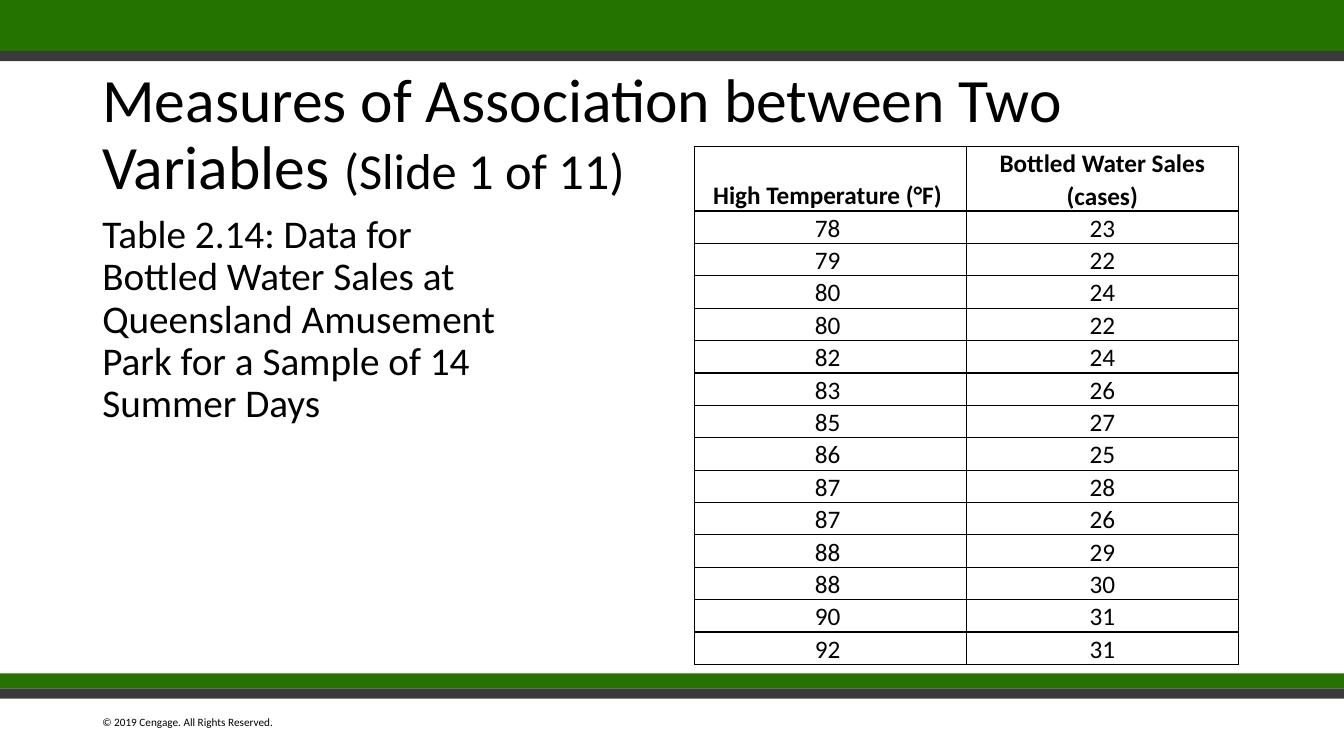
from lxml.etree import SubElement
from pptx import Presentation
from pptx.dml.color import RGBColor
from pptx.enum.shapes import MSO_SHAPE
from pptx.enum.text import MSO_ANCHOR as Anchor, PP_ALIGN as Align
from pptx.oxml.ns import qn
from pptx.util import Pt

FONT = "Calibri"
BLACK, GREEN, GRAY = "000000", "247300", "3B3B3B"
SLIDE_WIDTH, SLIDE_HEIGHT = 960, 540
LEFT_MARGIN = 66

HEADINGS = ("High Temperature (°F)", "Bottled Water Sales (cases)")
SALES_BY_TEMPERATURE = [
    (78, 23), (79, 22), (80, 24), (80, 22), (82, 24), (83, 26), (85, 27),
    (86, 25), (87, 28), (87, 26), (88, 29), (88, 30), (90, 31), (92, 31),
]


def color(hex_string):
    return RGBColor.from_string(hex_string)


def style_paragraph(paragraph, size, line_spacing=1.0, bold=False):
    paragraph.line_spacing = line_spacing
    font = paragraph.font
    font.name, font.size, font.bold = FONT, Pt(size), bold
    font.color.rgb = color(BLACK)


def add_band(slide, top, height, fill):
    band = slide.shapes.add_shape(
        MSO_SHAPE.RECTANGLE, 0, Pt(top), Pt(SLIDE_WIDTH), Pt(height))
    band.shadow.inherit = False
    band.fill.solid()
    band.fill.fore_color.rgb = color(fill)
    band.line.fill.background()


def add_text(slide, text, top, width, height, size, line_spacing=1.0,
             anchor=Anchor.TOP):
    box = slide.shapes.add_textbox(
        Pt(LEFT_MARGIN), Pt(top), Pt(width), Pt(height))
    frame = box.text_frame
    frame.word_wrap = True
    frame.vertical_anchor = anchor
    paragraph = frame.paragraphs[0]
    paragraph.add_run().text = text
    style_paragraph(paragraph, size, line_spacing)
    return paragraph


def add_borders(cell):
    properties = cell._tc.get_or_add_tcPr()
    for side in ("a:lnL", "a:lnR", "a:lnT", "a:lnB"):
        line = SubElement(properties, qn(side), w=str(Pt(1)))
        fill = SubElement(line, qn("a:solidFill"))
        SubElement(fill, qn("a:srgbClr"), val=BLACK)


def fill_cell(cell, text, is_heading):
    add_borders(cell)
    cell.fill.background()
    cell.margin_left = cell.margin_right = Pt(5)
    cell.margin_top = cell.margin_bottom = 0
    cell.vertical_anchor = Anchor.BOTTOM if is_heading else Anchor.TOP
    cell.text = text
    paragraph = cell.text_frame.paragraphs[0]
    paragraph.alignment = Align.CENTER
    style_paragraph(paragraph, 18, 1.07, bold=is_heading)


def add_sales_table(slide, left, top, width, heading_height, row_height):
    rows = [HEADINGS, *SALES_BY_TEMPERATURE]
    height = heading_height + row_height * len(SALES_BY_TEMPERATURE)
    table = slide.shapes.add_table(
        len(rows), len(HEADINGS), Pt(left), Pt(top), Pt(width), Pt(height)).table
    table.horz_banding = False
    for row_index, values in enumerate(rows):
        is_heading = row_index == 0
        table.rows[row_index].height = Pt(
            heading_height if is_heading else row_height)
        for column_index, value in enumerate(values):
            # Values in the first column end with a space
            text = f"{value} " if column_index == 0 else str(value)
            fill_cell(table.cell(row_index, column_index), text, is_heading)


def main():
    presentation = Presentation()
    presentation.slide_width = Pt(SLIDE_WIDTH)
    presentation.slide_height = Pt(SLIDE_HEIGHT)
    slide = presentation.slides.add_slide(presentation.slide_layouts[6])

    # Copyright line and the bands at top and bottom
    add_text(slide, "© 2019 Cengage. All Rights Reserved.", 507.6, 144, 16.6, 8)
    add_band(slide, 0, 36.5, GREEN)
    add_band(slide, 36.5, 7.2, GRAY)
    add_band(slide, 481, 10.8, GREEN)
    add_band(slide, 491.8, 7.2, "3A3A3A")

    # Title with a smaller slide count
    title = add_text(slide, "Measures of Association between Two Variables ",
                     49, 828, 96.5, 44, 0.9, Anchor.MIDDLE)
    slide_count = title.add_run()
    slide_count.text = "(Slide 1 of 11)"
    slide_count.font.size = Pt(36)

    # Table caption
    add_text(slide, "Table 2.14: Data for Bottled Water Sales at Queensland "
             "Amusement Park for a Sample of 14 Summer Days",
             149.8, 305.3, 68.4, 28, 0.9)

    # Temperature and sales table
    add_sales_table(slide, 496, 104.5, 388.5, 42.5, 22.25)

    presentation.save("out.pptx")


if __name__ == "__main__":
    main()
